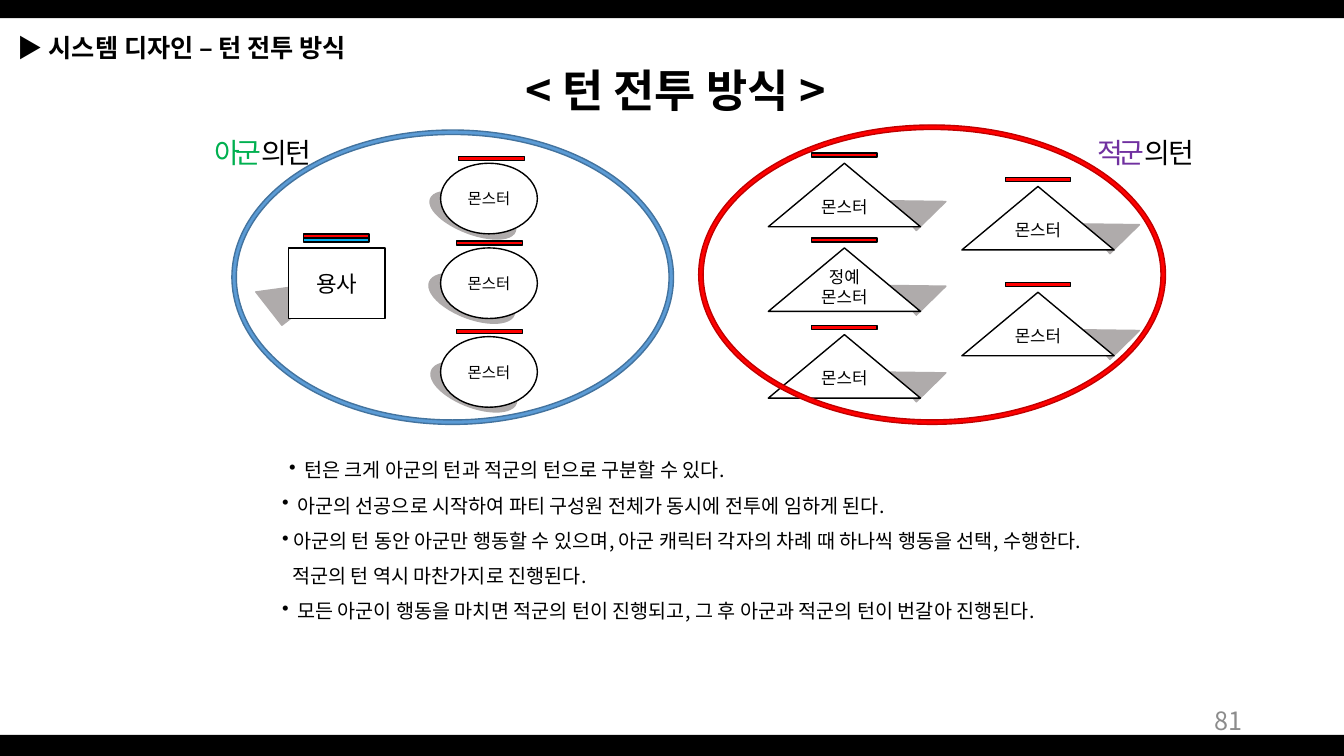
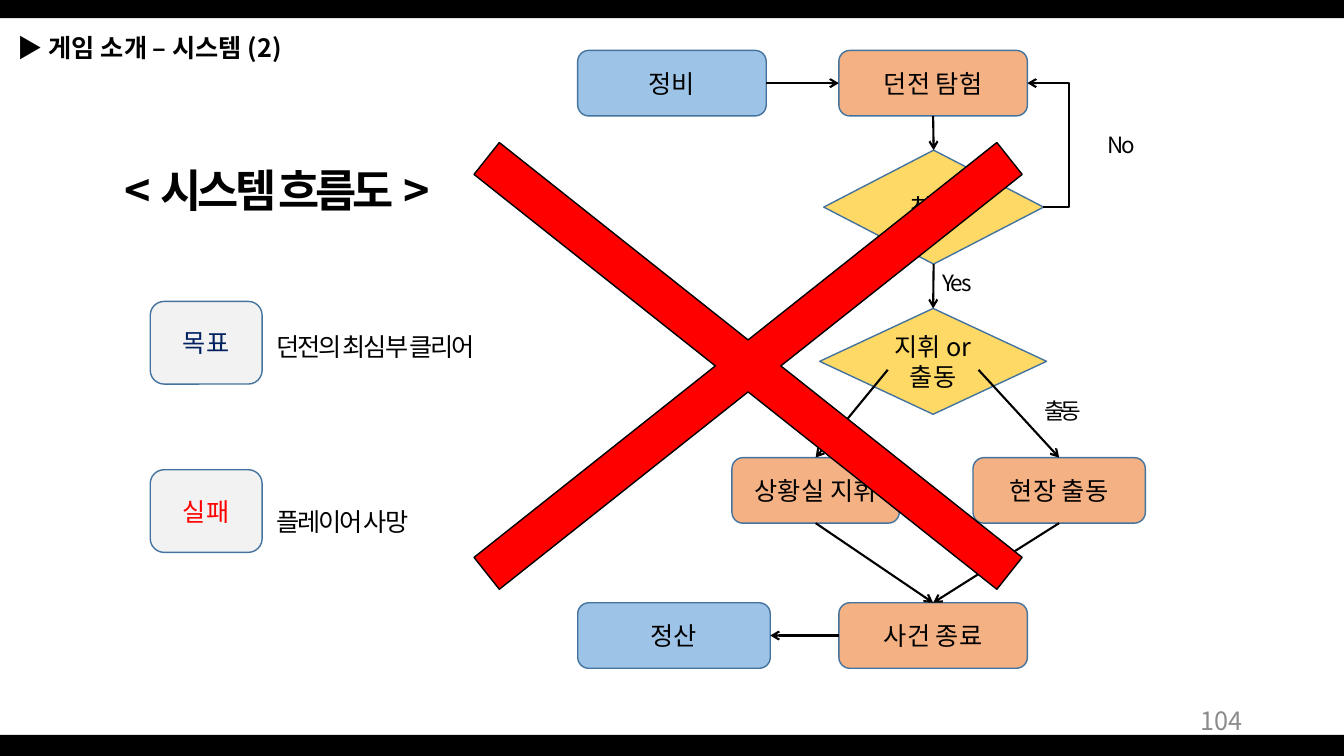
"""Builds two game design slides: the turn battle scheme and the system flowchart."""
from lxml import etree
from pptx import Presentation
from pptx.dml.color import RGBColor
from pptx.enum.shapes import MSO_CONNECTOR as Connector, MSO_SHAPE as Preset
from pptx.enum.text import MSO_ANCHOR as Anchor, PP_ALIGN as Align
from pptx.oxml.ns import qn
from pptx.util import Inches, Pt

WIDTH, HEIGHT = 13.33, 7.5
FONT = "Noto Sans CJK KR"
COLORS = {
    "black": "000000", "white": "FFFFFF", "page": "8C8C8C", "shadow": "AFABAB",
    "red": "FF0000", "dark red": "C00000", "mana": "00B0F0", "blue": "5B9BD5",
    "edge": "43739E", "ally": "00B050", "enemy": "7030A0", "navy": "002060",
    "orange": "F4B183", "yellow": "FFD966", "sky": "9DC3E6", "pale": "F2F2F2",
}

TURN_RULES = [
    ("턴은 크게 아군의 턴과 적군의 턴으로 구분할 수 있다.", 0.22, True),
    ("아군의 선공으로 시작하여 파티 구성원 전체가 동시에 전투에 임하게 된다.", 0.15, True),
    ("아군의 턴 동안 아군만 행동할 수 있으며, 아군 캐릭터 각자의 차례 때 하나씩 행동을 선택, 수행한다.", 0.11, True),
    ("적군의 턴 역시 마찬가지로 진행된다.", 0.1, False),
    ("모든 아군이 행동을 마치면 적군의 턴이 진행되고, 그 후 아군과 적군의 턴이 번갈아 진행된다.", 0.15, True),
]
ROUND_MONSTERS = [(1.62, 4.55, 1.55), (2.46, 4.53, 2.39), (3.34, 4.53, 3.27)]
ROUND_SHADOWS = [(4.24, 1.95, 0.37), (4.23, 2.76, 0.4), (4.25, 3.64, 0.4)]
TRIANGLE_MONSTERS = [
    (7.62, 1.62, ["몬스터"], 1.52), (7.62, 2.46, ["정예", "몬스터"], 2.36),
    (7.62, 3.32, ["몬스터"], 3.23), (9.54, 1.85, ["몬스터"], 1.76),
    (9.54, 2.9, ["몬스터"], 2.8),
]
TURNS = [
    ("아군", "ally", 1.74, (2.3, 1.29, 4.38, 2.92), "blue", "edge"),
    ("적군", "enemy", 10.5, (6.93, 1.24, 4.63, 2.97), "red", "dark red"),
]

STEP, DECISION = Preset.ROUNDED_RECTANGLE, Preset.DIAMOND
FLOW_NODES = {
    "현장 출동": (STEP, (9.65, 4.54, 1.71, 0.65), "orange"),
    "상황실 지휘": (STEP, (7.26, 4.54, 1.66, 0.65), "orange"),
    "던전 탐험": (STEP, (8.32, 0.5, 1.87, 0.65), "orange"),
    "사건 종료": (STEP, (8.32, 5.98, 1.87, 0.65), "orange"),
    "착수": (DECISION, (8.17, 1.49, 2.18, 1.13), "yellow"),
    "지휘 or 출동": (DECISION, (8.13, 3.06, 2.25, 1.05), "yellow"),
    "정비": (STEP, (5.73, 0.5, 1.87, 0.65), "sky"),
    "정산": (STEP, (5.73, 5.98, 1.91, 0.65), "sky"),
}
TOP, LEFT, BOTTOM, RIGHT = (0.5, 0), (0, 0.5), (0.5, 1), (1, 0.5)
LOWER_LEFT, LOWER_RIGHT = (0.3, 0.58), (0.7, 0.58)
FLOW_ARROWS = [
    ("던전 탐험", BOTTOM, "착수", TOP),
    ("착수", BOTTOM, "지휘 or 출동", TOP),
    ("지휘 or 출동", LOWER_LEFT, "상황실 지휘", TOP),
    ("지휘 or 출동", LOWER_RIGHT, "현장 출동", TOP),
    ("현장 출동", BOTTOM, "사건 종료", TOP),
    ("상황실 지휘", BOTTOM, "사건 종료", TOP),
    ("사건 종료", LEFT, "정산", RIGHT),
    ("정비", RIGHT, "던전 탐험", LEFT),
]
LOOP_X = 10.6
FLOW_LABELS = [("Yes", 9.12, 2.62, -1.5), ("No", 10.75, 1.25, -1.5),
               ("지휘", 7.64, 3.91, -3), ("출동", 10.17, 3.89, -3)]
OUTCOMES = [("목표", "navy", 2.99, "던전의 최심부 클리어", 3.09),
            ("실패", "red", 4.66, "플레이어 사망", 4.82)]


def rgb(name):
    return RGBColor.from_string(COLORS[name])


def add_run(paragraph, text, size, color="black", bold=False, spacing=0):
    run = paragraph.add_run()
    run.text = text
    run.font.size, run.font.bold, run.font.name = Pt(size), bold, FONT
    run.font.color.rgb = rgb(color)
    properties = run.font._element
    etree.SubElement(properties, qn("a:ea"), typeface=FONT)
    if spacing:
        properties.set("spc", str(int(spacing * 100)))


def add_shape(slide, preset, box, fill, line=None, adjust=None, rotation=0):
    shape = slide.shapes.add_shape(preset, *map(Inches, box))
    shape.shadow.inherit = False
    shape.fill.solid()
    shape.fill.fore_color.rgb = rgb(fill)
    if line:
        shape.line.color.rgb = rgb(line)
        shape.line.width = Pt(1)
    else:
        shape.line.fill.background()
    if adjust is not None:
        shape.adjustments[0] = adjust
    shape.rotation = rotation
    return shape


def write_inside(shape, lines, size, color="black", insets=None):
    frame = shape.text_frame
    frame.word_wrap = True
    frame.vertical_anchor = Anchor.MIDDLE
    if insets:
        frame.margin_left, frame.margin_top, frame.margin_right, frame.margin_bottom = map(Inches, insets)
    for index, text in enumerate(lines):
        paragraph = frame.add_paragraph() if index else frame.paragraphs[0]
        paragraph.alignment = Align.CENTER
        add_run(paragraph, text, size, color)


def add_text(slide, box, runs, size, align=Align.LEFT, line_spacing=None):
    frame = slide.shapes.add_textbox(*map(Inches, box)).text_frame
    frame.word_wrap = True
    paragraph = frame.paragraphs[0]
    paragraph.alignment = align
    if line_spacing:
        paragraph.line_spacing = line_spacing
    for text, style in runs:
        add_run(paragraph, text, size, **style)
    return frame


def add_arrow(slide, kind, start, end, bend=None):
    connector = slide.shapes.add_connector(kind, *map(Inches, start + end))
    connector.line.color.rgb = rgb("black")
    connector.line.width = Pt(1.5)
    properties = connector._element.spPr
    etree.SubElement(properties.find(qn("a:ln")), qn("a:tailEnd"), type="arrow")
    etree.SubElement(properties, qn("a:effectLst"))
    if bend is not None:
        guides = properties.find(qn("a:prstGeom")).get_or_add_avLst()
        etree.SubElement(guides, qn("a:gd"), name="adj1", fmla=f"val {round(bend * 100000)}")


def start_slide(presentation, heading, title_box, title, title_spacing, page):
    slide = presentation.slides.add_slide(presentation.slide_layouts[6])
    for top, height in ((7.29, 0.22), (0, 0.18)):
        add_shape(slide, Preset.RECTANGLE, (0, top, WIDTH, height), "black")
    add_text(slide, (0.08, 0.27, 4.17, 0.4), [("▶ ", {}), (heading, {"bold": True})], 18)
    add_text(slide, title_box, [
        ("< ", {"bold": True}),
        (title, {"bold": True, "spacing": title_spacing}),
        (" >", {"bold": True}),
    ], 32, Align.CENTER)
    number = add_text(slide, (9.42, 6.95, 3, 0.4), [(page, {"color": "page"})], 18, Align.RIGHT)
    number.vertical_anchor = Anchor.MIDDLE
    return slide


def add_bar(slide, left, top, color="red"):
    add_shape(slide, Preset.RECTANGLE, (left, top, 0.65, 0.04), color, "black")


def add_turn_rules(slide):
    frame = add_text(slide, (2.7, 4.38, 9.16, 1.87), [], 14)
    for index, (text, margin, bulleted) in enumerate(TURN_RULES):
        paragraph = frame.add_paragraph() if index else frame.paragraphs[0]
        paragraph.line_spacing = 1.5
        add_run(paragraph, text, 14)
        properties = paragraph._p.get_or_add_pPr()
        properties.set("marL", str(Inches(margin)))
        if bulleted:
            properties.set("indent", str(-Inches(min(margin, 0.15))))
            etree.SubElement(properties, qn("a:buChar"), char="•")


def build_battle(presentation):
    slide = start_slide(presentation, "시스템 디자인 – 턴 전투 방식",
                        (3.29, 0.57, 6.82, 0.64), "턴 전투 방식", 0, "81")
    add_turn_rules(slide)
    for left, top, height in ROUND_SHADOWS:
        add_shape(slide, Preset.OVAL, (left, top, 0.9, height), "shadow", "shadow", rotation=21.1)
    add_shape(slide, Preset.ISOSCELES_TRIANGLE, (2.59, 2.63, 0.72, 0.42), "shadow", "shadow", 0, 322)
    for left, top, _, _ in TRIANGLE_MONSTERS:
        add_shape(slide, Preset.ISOSCELES_TRIANGLE, (left + 1.3, top + 0.18, 0.39, 0.41),
                  "shadow", "shadow", 0.937, 49)
    for top, bar_left, bar_top in ROUND_MONSTERS:
        monster = add_shape(slide, Preset.OVAL, (4.37, top, 0.96, 0.7), "white", "black")
        write_inside(monster, ["몬스터"], 11, insets=(0, 0, 0, 0))
        add_bar(slide, bar_left, bar_top)
    hero = add_shape(slide, Preset.RECTANGLE, (2.86, 2.46, 0.96, 0.7), "white", "black")
    write_inside(hero, ["용사"], 16)
    add_bar(slide, 3.01, 2.32)
    add_bar(slide, 3.01, 2.36, "mana")
    for left, top, lines, bar_top in TRIANGLE_MONSTERS:
        monster = add_shape(slide, Preset.ISOSCELES_TRIANGLE, (left, top, 1.51, 0.63), "white", "black")
        write_inside(monster, lines, 12, insets=(0, 0, 0, 0.09 * len(lines)))
        add_bar(slide, left + 0.43, bar_top)
    for side, color, left, ring, fill, line in TURNS:
        add_shape(slide, Preset.DONUT, ring, fill, line, 0.015)
        add_text(slide, (left, 1.29, 1.73, 0.32), [
            (side, {"color": color, "spacing": -3}), ("의 턴", {"spacing": -3}),
        ], 20, Align.CENTER)


def node_point(name, share):
    left, top, width, height = FLOW_NODES[name][1]
    return left + width * share[0], top + height * share[1]


def build_flowchart(presentation):
    slide = start_slide(presentation, "게임 소개 – 시스템 (2)",
                        (1.02, 1.57, 3.46, 0.64), "시스템 흐름도", -3, "104")
    for name, (preset, box, fill) in FLOW_NODES.items():
        write_inside(add_shape(slide, preset, box, fill, "edge"), [name], 18)
    for source, exit_share, target, entry_share in FLOW_ARROWS:
        add_arrow(slide, Connector.STRAIGHT, node_point(source, exit_share),
                  node_point(target, entry_share))
    start, end = node_point("착수", RIGHT), node_point("던전 탐험", RIGHT)
    add_arrow(slide, Connector.ELBOW, start, end, (LOOP_X - start[0]) / (end[0] - start[0]))
    for text, left, top, spacing in FLOW_LABELS:
        add_text(slide, (left, top, 0.74, 0.37), [(text, {"spacing": spacing})], 16, Align.CENTER)
    for name, color, top, text, text_top in OUTCOMES:
        card = add_shape(slide, STEP, (1.49, top, 1.11, 0.82), "pale", "edge")
        write_inside(card, [name], 18, color)
        add_text(slide, (2.64, text_top, 2.57, 0.5), [(text, {"spacing": -1.5})], 18, line_spacing=1.5)
    add_shape(slide, Preset.MATH_MULTIPLY, (2.43, -0.33, 9.98, 7.92), "red", "black", 0.051)


def main():
    presentation = Presentation()
    presentation.slide_width, presentation.slide_height = Inches(WIDTH), Inches(HEIGHT)
    build_battle(presentation)
    build_flowchart(presentation)
    presentation.save("out.pptx")


if __name__ == "__main__":
    main()
